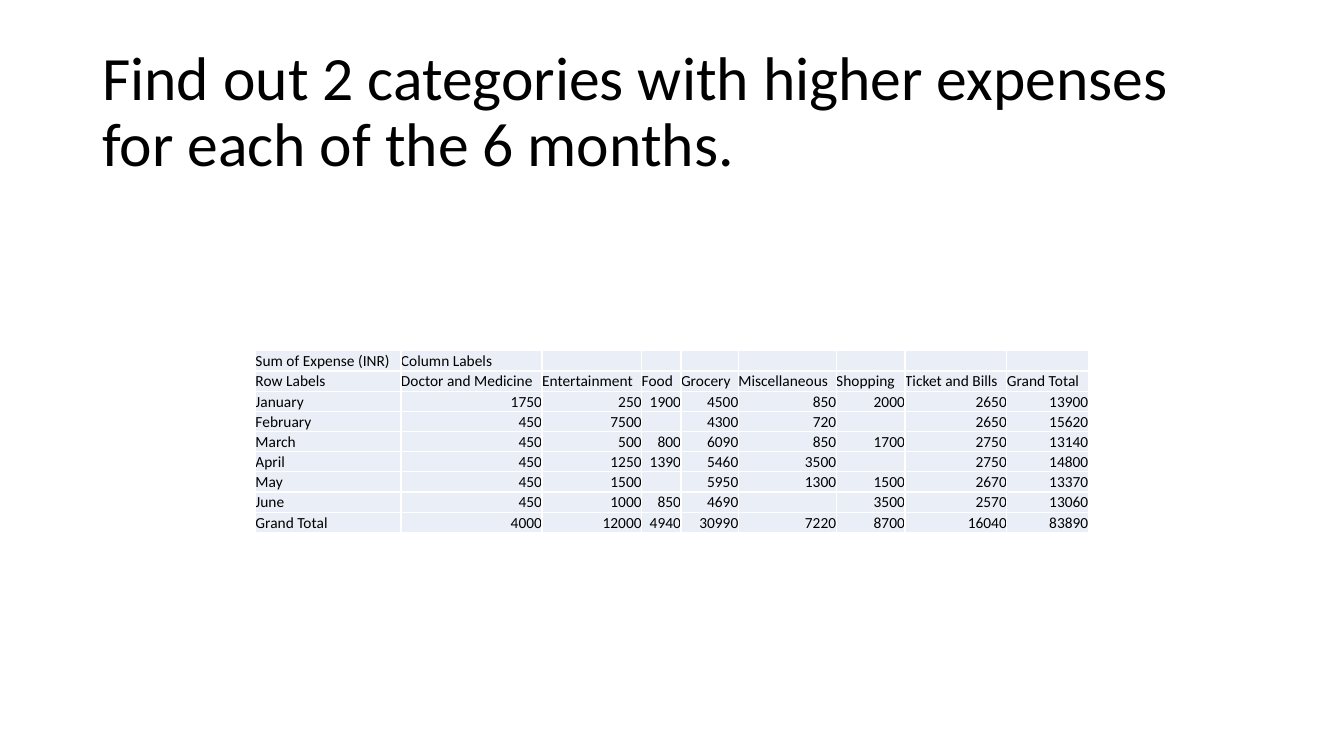
"""Build a slide with a monthly expense table by category."""
from lxml import etree
from pptx import Presentation
from pptx.dml.color import RGBColor
from pptx.enum.text import MSO_ANCHOR, PP_ALIGN
from pptx.oxml.ns import qn
from pptx.util import Pt

LEFT, RIGHT = PP_ALIGN.LEFT, PP_ALIGN.RIGHT
MIDDLE, BOTTOM = MSO_ANCHOR.MIDDLE, MSO_ANCHOR.BOTTOM
BLACK = RGBColor(0x00, 0x00, 0x00)
WHITE = RGBColor(0xFF, 0xFF, 0xFF)
PALE_BLUE = RGBColor(0xEA, 0xEF, 0xF7)
CELL_SIZE = 11
ROW_HEIGHT = 14.4
COL_WIDTHS = [103.9, 100.8, 71.2, 28.1, 41, 69.9, 49.1, 72.8, 58.2]
ROWS = [
    ["Sum of Expense (INR)", "Column Labels", "", "", "", "", "", "", ""],
    ["Row Labels", "Doctor and Medicine", "Entertainment", "Food", "Grocery",
     "Miscellaneous", "Shopping", "Ticket and Bills", "Grand Total"],
    ["January", 1750, 250, 1900, 4500, 850, 2000, 2650, 13900],
    ["February", 450, 7500, "", 4300, 720, "", 2650, 15620],
    ["March", 450, 500, 800, 6090, 850, 1700, 2750, 13140],
    ["April", 450, 1250, 1390, 5460, 3500, "", 2750, 14800],
    ["May", 450, 1500, "", 5950, 1300, 1500, 2670, 13370],
    ["June", 450, 1000, 850, 4690, "", 3500, 2570, 13060],
    ["Grand Total", 4000, 12000, 4940, 30990, 7220, 8700, 16040, 83890],
]


def write(tf, text, size, align=LEFT, spacing=1.0):
    p = tf.paragraphs[0]
    p.alignment = align
    p.line_spacing = spacing
    if text == "":
        etree.SubElement(p._p, qn("a:endParaRPr"), sz=str(size * 100))
        return
    r = p.add_run()
    r.text = str(text)
    r.font.name = "Calibri"
    r.font.size = Pt(size)
    r.font.color.rgb = BLACK


prs = Presentation()
prs.slide_width, prs.slide_height = Pt(960), Pt(540)
s = prs.slides.add_slide(prs.slide_layouts[6])
s.background.fill.solid()
s.background.fill.fore_color.rgb = WHITE

title = s.shapes.add_textbox(Pt(66), Pt(28.75), Pt(828), Pt(104.4))
tf = title.text_frame
tf.word_wrap = True
tf.vertical_anchor = MIDDLE
write(tf, "Find out 2 categories with higher expenses for each of the 6 months.",
      44, spacing=0.9)

table = s.shapes.add_table(len(ROWS), len(COL_WIDTHS), Pt(182.5), Pt(250.6),
                           Pt(sum(COL_WIDTHS)), Pt(ROW_HEIGHT * len(ROWS))).table
table.first_row = False
table.horz_banding = False
for column, width in zip(table.columns, COL_WIDTHS):
    column.width = Pt(width)

for i, values in enumerate(ROWS):
    table.rows[i].height = Pt(ROW_HEIGHT)
    for j, value in enumerate(values):
        cell = table.cell(i, j)
        cell.margin_left = cell.margin_right = Pt(0)
        cell.margin_top = cell.margin_bottom = Pt(0)
        cell.vertical_anchor = BOTTOM
        tc_pr = cell._tc.get_or_add_tcPr()
        for side in ("a:lnL", "a:lnR", "a:lnT", "a:lnB"):
            ln = etree.SubElement(tc_pr, qn(side), w=str(Pt(1)))
            fill = etree.SubElement(ln, qn("a:solidFill"))
            etree.SubElement(fill, qn("a:srgbClr"), val=str(WHITE))
        cell.fill.solid()
        cell.fill.fore_color.rgb = PALE_BLUE
        align = RIGHT if isinstance(value, int) else LEFT
        write(cell.text_frame, value, CELL_SIZE, align=align)

prs.save("out.pptx")
